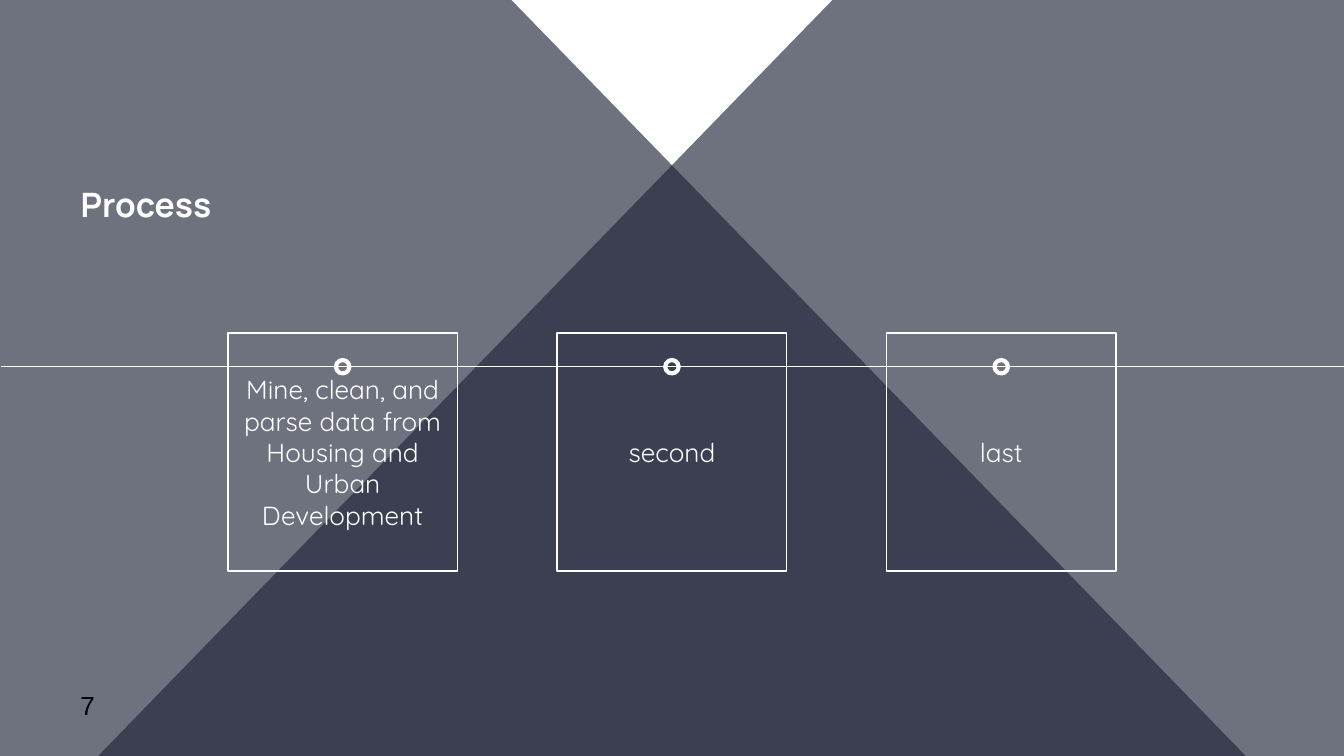
from lxml import etree
from pptx import Presentation
from pptx import util as u
from pptx.dml.color import RGBColor
from pptx.enum import shapes, text
from pptx.oxml.ns import qn

COLORS = {"navy": "212539", "white": "FFFFFF", "black": "000000"}
WIDTH, HEIGHT = 720, 405
APEX = 446
FOOT = 52.6
CENTER = WIDTH / 2
PITCH = 176.4
AXIS = 196.5
DOT = 7.2
BOX_TOP, BOX_WIDTH, BOX_HEIGHT = 178.5, 123, 127.4
STEPS = [
    "Mine, clean, and parse data from Housing and Urban Development",
    "second",
    "last",
]


class ProcessSlide:
    inset = 7.2

    def __init__(self, page):
        self.page = page

    def color(self, name):
        return RGBColor.from_string(COLORS[name])

    def set_words(self, shape, words, font, size, color, anchor, align, bold=False):
        frame = shape.text_frame
        frame.text = words
        frame.word_wrap = True
        frame.auto_size = text.MSO_AUTO_SIZE.NONE
        frame.vertical_anchor = anchor
        frame.margin_left = frame.margin_right = u.Pt(self.inset)
        frame.margin_top = frame.margin_bottom = u.Pt(self.inset)
        para = frame.paragraphs[0]
        para.alignment = align
        for span in para.runs:
            span.font.name = font
            span.font.size = u.Pt(size)
            span.font.bold = bold
            span.font.color.rgb = self.color(color)

    def panel(self, points, opacity):
        corners = [(u.Pt(x), u.Pt(y)) for x, y in points]
        builder = self.page.shapes.build_freeform(*corners[0])
        builder.add_line_segments(corners[1:], close=True)
        shape = builder.convert_to_shape()
        shape.shadow.inherit = False
        shape.line.fill.background()
        shape.fill.solid()
        shape.fill.fore_color.rgb = self.color("navy")
        tint = shape.element.spPr.find(qn("a:solidFill"))[0]
        etree.SubElement(tint, qn("a:alpha"), val=str(opacity * 1000))

    def title(self, words, left, top, width, height):
        shape = self.page.shapes.title
        shape.left, shape.top = u.Pt(left), u.Pt(top)
        shape.width, shape.height = u.Pt(width), u.Pt(height)
        self.set_words(shape, words, "Manrope", 18, "white",
                       text.MSO_ANCHOR.BOTTOM, text.PP_ALIGN.LEFT, bold=True)
        shape.element.getparent().append(shape.element)

    def number(self, words, left, top, width, height):
        box = self.page.shapes.add_textbox(*map(u.Pt, (left, top, width, height)))
        self.set_words(box, words, "Arial", 14, "black",
                       text.MSO_ANCHOR.MIDDLE, text.PP_ALIGN.LEFT)

    def timeline(self, start, end, y):
        line = self.page.shapes.add_connector(
            shapes.MSO_CONNECTOR.STRAIGHT, u.Pt(start), u.Pt(y), u.Pt(end), u.Pt(y))
        line.line.color.rgb = self.color("white")
        line.line.width = u.Pt(0.75)
        etree.SubElement(line.element.spPr, qn("a:effectLst"))

    def outline(self, kind, left, top, width, height, weight):
        shape = self.page.shapes.add_shape(
            kind, *map(u.Pt, (left, top, width, height)))
        shape.shadow.inherit = False
        shape.fill.background()
        shape.line.color.rgb = self.color("white")
        shape.line.width = u.Pt(weight)
        return shape

    def dot(self, center):
        self.outline(shapes.MSO_SHAPE.OVAL, center - DOT / 2, AXIS - DOT / 2,
                     DOT, DOT, 2.25)

    def step(self, words, center):
        box = self.outline(shapes.MSO_SHAPE.RECTANGLE, center - BOX_WIDTH / 2,
                           BOX_TOP, BOX_WIDTH, BOX_HEIGHT, 0.75)
        self.set_words(box, words, "Quicksand", 14, "white",
                       text.MSO_ANCHOR.MIDDLE, text.PP_ALIGN.CENTER)


def main():
    deck = Presentation()
    deck.slide_width, deck.slide_height = u.Pt(WIDTH), u.Pt(HEIGHT)
    slide = ProcessSlide(deck.slides.add_slide(deck.slide_layouts[5]))

    right_panel = [(APEX, 0), (WIDTH, 0), (WIDTH, HEIGHT), (FOOT, HEIGHT)]
    left_panel = [(WIDTH - x, y) for x, y in right_panel]
    for points in (right_panel, left_panel):
        slide.panel(points, 65)

    slide.title("Process", 36, 77.8, 188, 49.7)
    slide.number("7", 36, 368, 43, 19.5)
    slide.timeline(WIDTH, 0.7, AXIS)

    centers = [CENTER + (i - 1) * PITCH for i in range(len(STEPS))]
    for center in centers:
        slide.dot(center)
    for words, center in zip(STEPS, centers):
        slide.step(words, center)

    deck.save("out.pptx")


if __name__ == "__main__":
    main()
